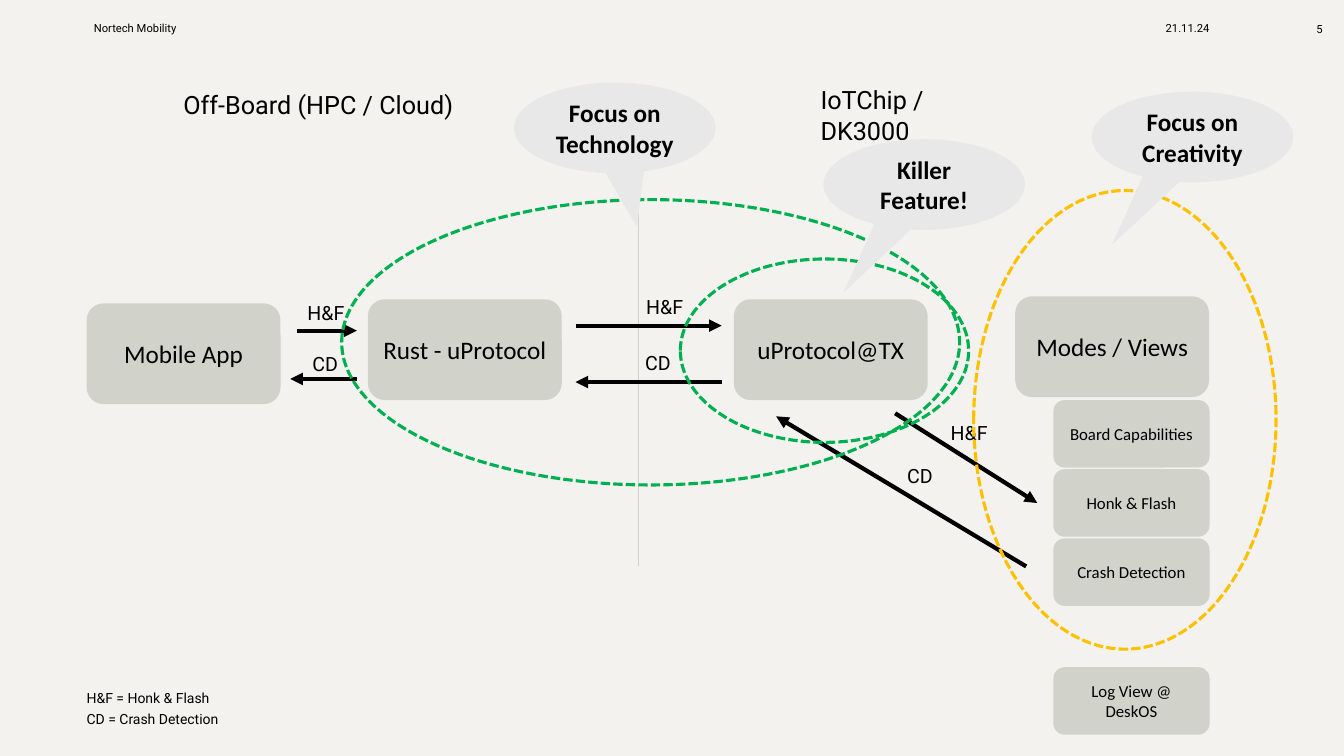
from dataclasses import dataclass
from typing import Any, Optional

import pptx
import pptx.dml.color
import pptx.enum.dml
import pptx.enum.shapes
import pptx.enum.text
import pptx.oxml
import pptx.oxml.ns
import pptx.util

Pt = pptx.util.Pt
SHAPE = pptx.enum.shapes.MSO_SHAPE
ALIGN = pptx.enum.text.PP_ALIGN
ANCHOR = pptx.enum.text.MSO_ANCHOR
FIT = pptx.enum.text.MSO_AUTO_SIZE


@dataclass(frozen=True)
class Theme:
    page: str = "F3F2EF"
    ink: str = "000000"
    box: str = "D1D3CA"
    callout: str = "E8E8E8"
    technology: str = "00B050"
    creativity: str = "FFC000"
    text_font: str = "Roboto"
    box_font: str = "Calibri"
    footer: float = 8
    legend: float = 10
    detail: float = 12
    label: float = 14
    heading: float = 18


@dataclass(frozen=True)
class Label:
    text: str
    x: float
    y: float
    w: float
    h: float
    size: float
    wrap: bool = False
    align: Any = ALIGN.LEFT
    anchor: Any = ANCHOR.TOP


@dataclass(frozen=True)
class Box:
    text: str
    x: float
    y: float
    w: float
    h: float
    size: float


@dataclass(frozen=True)
class Arrow:
    x1: float
    y1: float
    x2: float
    y2: float


@dataclass(frozen=True)
class Ring:
    x: float
    y: float
    w: float
    h: float
    color: str


@dataclass(frozen=True)
class Callout:
    text: str
    x: float
    y: float
    tip: tuple[float, float]


T = Theme()
HF, CD = ("H&F", 28.1), ("CD", 19.4)

TEXTS = [
    Label("5", 923.8, 15.8, 20.9, 9.4, T.footer, True, ALIGN.RIGHT, ANCHOR.MIDDLE),
    Label("Nortech Mobility", 67, 15.1, 132.5, 8.6, T.footer, True),
    Label("21.11.24", 733, 15.1, 131, 10.1, T.footer, True, ALIGN.RIGHT, ANCHOR.MIDDLE),
    Label("IoTChip /\vDK3000", 586.1, 60.5, 140.4, 21.6, T.heading, True),
    Label("Off-Board (HPC / Cloud)", 131, 64.1, 193.7, 21.6, T.heading),
    Label("H&F = Honk & Flash", 61.9, 492.5, 90.7, 12.2, T.legend),
    Label("CD = Crash Detection", 61.9, 507.6, 95.8, 12.2, T.legend),
]
FLOW_LABELS = [
    Label(text, x, y, w, 17.3, T.label)
    for (text, w), x, y in [
        (HF, 219.6, 215.3), (CD, 223.2, 251.3),
        (HF, 461.5, 211), (CD, 460.8, 250.6),
        (HF, 679, 301), (CD, 648, 331.2),
    ]
]
BOXES = [
    Box(text, x, y, 138.5, 72, T.heading)
    for text, x, y in [
        ("uProtocol@TX", 524.2, 213.8),
        ("Modes / Views", 725.2, 211.7),
        ("Rust - uProtocol", 262.8, 213.8),
        ("Mobile App", 61.9, 216.7),
    ]
] + [
    Box(text, 752.4, y, 111.6, 48.2, T.detail)
    for text, y in [
        ("Board Capabilities", 285.8),
        ("Honk & Flash", 335.2),
        ("Crash Detection", 384.6),
        ("Log View @ DeskOS", 476.6),
    ]
]
DIVIDER = Arrow(455.8, 123.1, 455.8, 404.6)
ARROWS = [
    Arrow(212.4, 236.2, 254.9, 236.2),
    Arrow(254.9, 270.7, 207.4, 270.7),
    Arrow(411.1, 232.6, 515.5, 232.6),
    Arrow(639.4, 295.2, 740.9, 359.3),
    Arrow(515.5, 272.9, 411.1, 272.9),
    Arrow(733, 404.6, 554.4, 297.4),
]
RINGS = [
    Ring(244.1, 142.6, 441.4, 203.8, T.technology),
    Ring(695.5, 136.1, 216, 327.6, T.creativity),
    Ring(486, 185, 205.9, 131, T.technology),
]
CALLOUTS = [
    Callout("Focus on Technology", 367.2, 59, (0.11, 1.09)),
    Callout("Killer\nFeature!", 588.2, 99.4, (-0.4, 1.19)),
    Callout("Focus on\nCreativity", 779.8, 65.5, (-0.4, 1.19)),
]


def rgb(color: str) -> pptx.dml.color.RGBColor:
    return pptx.dml.color.RGBColor.from_string(color)


def apply(target: Any, values: dict[str, Any]) -> None:
    for name, value in values.items():
        setattr(target, name, value)


def write(tf: Any, text: str, frame: dict[str, Any], align: Any, font: dict[str, Any]) -> None:
    apply(tf, frame)
    tf.text = text
    for p in tf.paragraphs:
        p.alignment = align
        for r in p.runs:
            apply(r.font, font)
            r.font.color.rgb = rgb(T.ink)


def add_label(slide: Any, item: Label) -> None:
    s = slide.shapes.add_textbox(Pt(item.x), Pt(item.y), Pt(item.w), Pt(item.h))
    frame = dict.fromkeys(("margin_left", "margin_top", "margin_right", "margin_bottom"), 0)
    frame |= {
        "word_wrap": item.wrap,
        "vertical_anchor": item.anchor,
        "auto_size": FIT.NONE if item.wrap else FIT.SHAPE_TO_FIT_TEXT,
    }
    write(s.text_frame, item.text, frame, item.align, {"name": T.text_font, "size": Pt(item.size)})


def add_filled(slide: Any, kind: Any, item: Box, color: str, bold: bool = False) -> Any:
    s = slide.shapes.add_shape(kind, Pt(item.x), Pt(item.y), Pt(item.w), Pt(item.h))
    s.shadow.inherit = False
    s.fill.solid()
    s.fill.fore_color.rgb = rgb(color)
    s.line.fill.background()
    frame = {"word_wrap": True, "vertical_anchor": ANCHOR.MIDDLE}
    font = {"name": T.box_font, "size": Pt(item.size), "bold": bold}
    write(s.text_frame, item.text, frame, ALIGN.CENTER, font)
    return s


def add_line(slide: Any, item: Arrow, color: str, width: float, head: Optional[str] = None) -> None:
    s = slide.shapes.add_connector(
        pptx.enum.shapes.MSO_CONNECTOR.STRAIGHT,
        Pt(item.x1), Pt(item.y1), Pt(item.x2), Pt(item.y2),
    )
    s.line.color.rgb = rgb(color)
    s.line.width = Pt(width)
    props = s._element.spPr
    if head:
        tail = pptx.oxml.parse_xml(f'<a:tailEnd {pptx.oxml.ns.nsdecls("a")} type="{head}"/>')
        props.find(pptx.oxml.ns.qn("a:ln")).append(tail)
    props.append(pptx.oxml.parse_xml(f'<a:effectLst {pptx.oxml.ns.nsdecls("a")}/>'))


def add_ring(slide: Any, item: Ring) -> None:
    s = slide.shapes.add_shape(SHAPE.OVAL, Pt(item.x), Pt(item.y), Pt(item.w), Pt(item.h))
    s.shadow.inherit = False
    s.fill.background()
    s.line.color.rgb = rgb(item.color)
    apply(s.line, {"width": Pt(2.25), "dash_style": pptx.enum.dml.MSO_LINE.SQUARE_DOT})


def add_callout(slide: Any, item: Callout) -> None:
    box = Box(item.text, item.x, item.y, 144, 64.8, T.heading)
    s = add_filled(slide, SHAPE.OVAL_CALLOUT, box, T.callout, bold=True)
    s.adjustments[0], s.adjustments[1] = item.tip


def main() -> None:
    prs = pptx.Presentation()
    apply(prs, {"slide_width": Pt(960), "slide_height": Pt(540)})
    slide = prs.slides.add_slide(prs.slide_layouts[6])
    slide.background.fill.solid()
    slide.background.fill.fore_color.rgb = rgb(T.page)
    for text in TEXTS:
        add_label(slide, text)
    add_line(slide, DIVIDER, T.box, 0.5)
    for box in BOXES:
        add_filled(slide, SHAPE.ROUNDED_RECTANGLE, box, T.box)
    for arrow in ARROWS:
        add_line(slide, arrow, T.ink, 3, "triangle")
    for label in FLOW_LABELS:
        add_label(slide, label)
    for ring in RINGS:
        add_ring(slide, ring)
    for callout in CALLOUTS:
        add_callout(slide, callout)
    prs.save("out.pptx")


if __name__ == "__main__":
    main()
